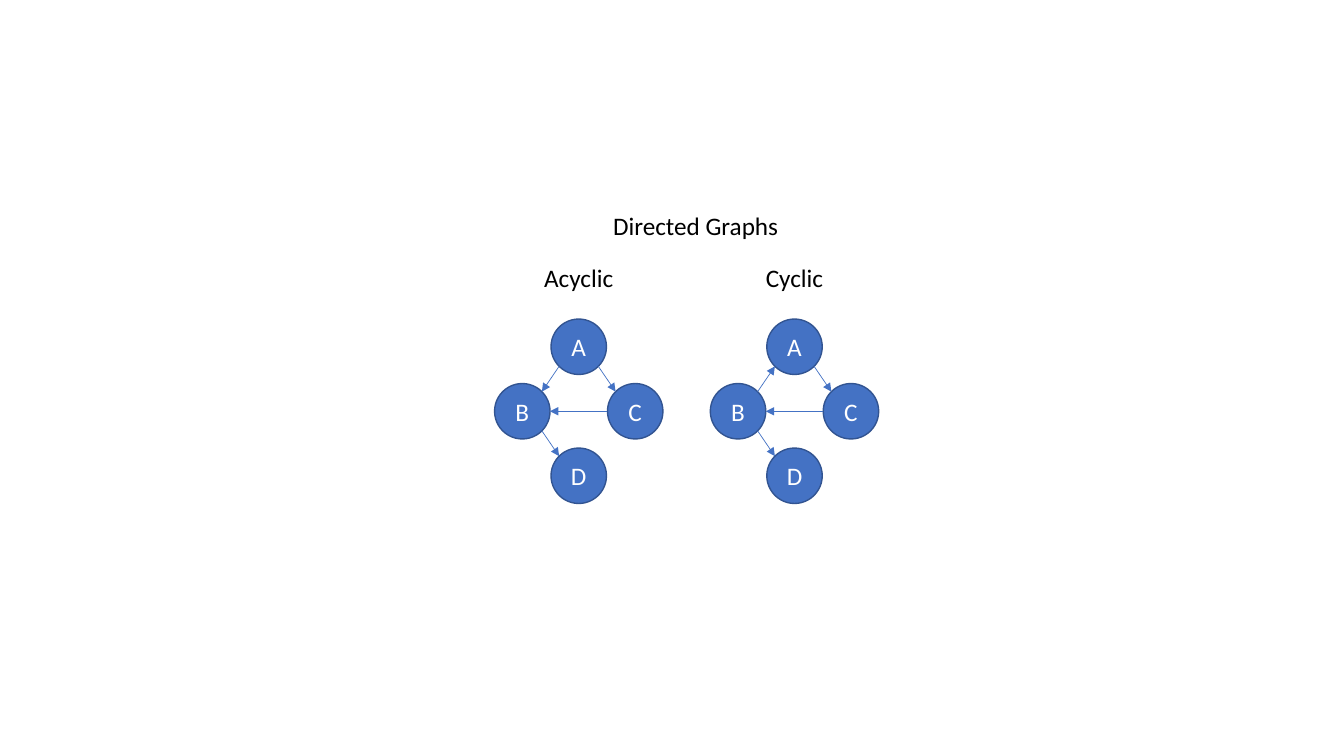
import math

import pptx
import pptx.dml.color
import pptx.enum.shapes
import pptx.enum.text
import pptx.oxml
import pptx.oxml.ns
import pptx.util

Inches = pptx.util.Inches
RGB = pptx.dml.color.RGBColor.from_string


class Theme:
    font = "Calibri"
    text_size = 18
    text = "000000"
    node_text = "FFFFFF"
    node_fill = "4472C4"
    node_line = "325491"
    node_line_width = 1
    edge = "4472C4"
    edge_width = 0.5


DIAMETER = 0.55
LABEL_SIZE = (1.88, 0.4)
STEP_X, STEP_Y = 0.56, 0.64
MIDDLE_Y = 4.08
NODES = {"A": (0, -1), "B": (-1, 0), "C": (1, 0), "D": (0, 1)}
GRAPHS = [
    ("Acyclic", 5.74, ["AB", "AC", "CB", "BD"]),
    ("Cyclic", 7.88, ["BA", "AC", "CB", "BD"]),
]


class Diagram:
    def __init__(self, prs, theme):
        self.theme = theme
        self.slide = prs.slides.add_slide(prs.slide_layouts[6])

    def set_text(self, sp, text, color):
        p = sp.text_frame.paragraphs[0]
        p.alignment = pptx.enum.text.PP_ALIGN.CENTER
        r = p.add_run()
        r.text = text
        font_format = {"name": self.theme.font, "size": pptx.util.Pt(self.theme.text_size)}
        for name, value in font_format.items():
            setattr(r.font, name, value)
        r.font.color.rgb = RGB(color)

    def label(self, text, center_x, top):
        width, height = LABEL_SIZE
        sp = self.slide.shapes.add_textbox(
            Inches(center_x - width / 2), Inches(top), Inches(width), Inches(height))
        frame_format = {"word_wrap": True,
                        "auto_size": pptx.enum.text.MSO_AUTO_SIZE.SHAPE_TO_FIT_TEXT}
        for name, value in frame_format.items():
            setattr(sp.text_frame, name, value)
        self.set_text(sp, text, self.theme.text)

    def node(self, text, x, y):
        sp = self.slide.shapes.add_shape(
            pptx.enum.shapes.MSO_SHAPE.OVAL,
            Inches(x - DIAMETER / 2), Inches(y - DIAMETER / 2),
            Inches(DIAMETER), Inches(DIAMETER))
        sp.shadow.inherit = False
        sp.fill.solid()
        sp.fill.fore_color.rgb = RGB(self.theme.node_fill)
        sp.line.color.rgb = RGB(self.theme.node_line)
        sp.line.width = pptx.util.Pt(self.theme.node_line_width)
        sp.text_frame.vertical_anchor = pptx.enum.text.MSO_ANCHOR.MIDDLE
        self.set_text(sp, text, self.theme.node_text)

    def edge(self, start, end):
        """Draw an arrow between two node centres, cut at the circles' 45° steps."""
        (x1, y1), (x2, y2) = start, end
        angle = round(math.atan2(y2 - y1, x2 - x1) / (math.pi / 4)) * math.pi / 4
        dx, dy = (DIAMETER / 2 * f(angle) for f in (math.cos, math.sin))
        line = self.slide.shapes.add_connector(
            pptx.enum.shapes.MSO_CONNECTOR.STRAIGHT,
            Inches(x1 + dx), Inches(y1 + dy), Inches(x2 - dx), Inches(y2 - dy))
        line.line.color.rgb = RGB(self.theme.edge)
        line.line.width = pptx.util.Pt(self.theme.edge_width)
        ns = pptx.oxml.ns.nsdecls("a")
        props = line._element.spPr
        props.get_or_add_ln().append(
            pptx.oxml.parse_xml(f'<a:tailEnd {ns} type="triangle"/>'))
        props.append(pptx.oxml.parse_xml(f"<a:effectLst {ns}/>"))

    def graph(self, center_x, edges):
        centers = {name: (center_x + col * STEP_X, MIDDLE_Y + row * STEP_Y)
                   for name, (col, row) in NODES.items()}
        for name, center in centers.items():
            self.node(name, *center)
        for start, end in edges:
            self.edge(centers[start], centers[end])


def main():
    prs = pptx.Presentation()
    prs.slide_width = Inches(13.33)
    prs.slide_height = Inches(7.5)
    diagram = Diagram(prs, Theme())
    for _, center_x, edges in GRAPHS:
        diagram.graph(center_x, edges)
    diagram.label("Directed Graphs", 6.9, 2.04)
    for title, center_x, _ in GRAPHS:
        diagram.label(title, center_x, 2.55)
    prs.save("out.pptx")


if __name__ == "__main__":
    main()
